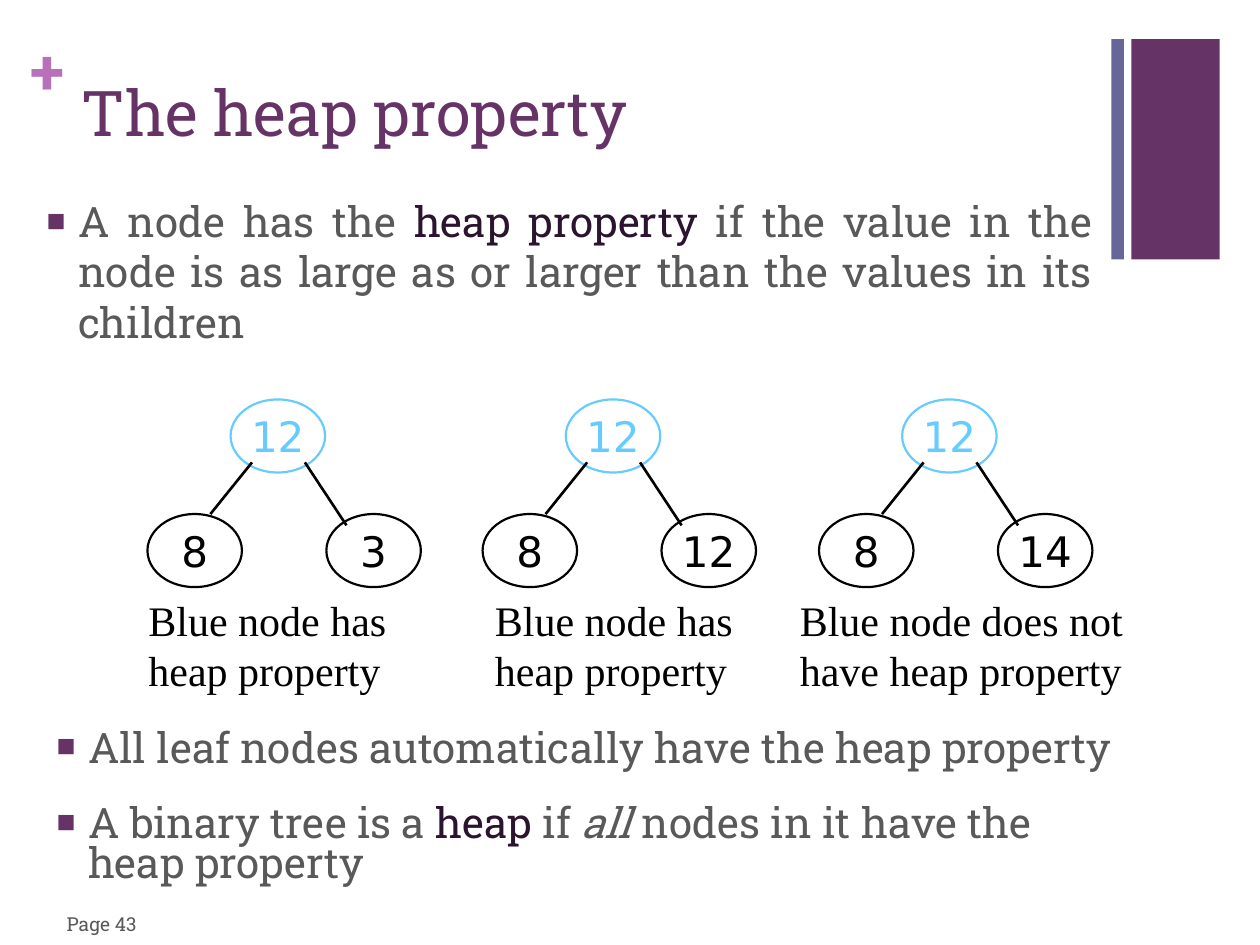
"""Build the slide that explains the heap property."""
import dataclasses

import lxml.etree
import pptx
import pptx.dml.color
import pptx.enum.shapes
import pptx.enum.text
import pptx.oxml.ns
import pptx.util

Inches = pptx.util.Inches
Align = pptx.enum.text.PP_ALIGN
Anchor = pptx.enum.text.MSO_ANCHOR
Shape = pptx.enum.shapes.MSO_SHAPE


@dataclasses.dataclass(frozen=True)
class Theme:
    """Colours, fonts and type sizes of the slide."""
    purple: str = "663366"
    slate: str = "666699"
    orchid: str = "B870B8"
    grey: str = "595959"
    dark: str = "2B142D"
    blue: str = "66CCFF"
    black: str = "000000"
    main_font: str = "Roboto Slab"
    node_font: str = "DejaVu Sans"
    caption_font: str = "Times New Roman"
    title_size: int = 36
    body_size: int = 24
    page_size: int = 11


THEME = Theme()
NODE_SIZE = (0.75, 0.58)
TREES = [
    (1.17, ("12", "8", "3"), "Blue node has heap property", (1.08, 2.17)),
    (3.83, ("12", "8", "12"), "Blue node has heap property", (3.83, 2.17)),
    (6.5, ("12", "8", "14"), "Blue node does not have heap property", (6.25, 2.83)),
]
DEFINITION = [("A node has the ", {}), ("heap property", {"color": THEME.dark}),
              (" if the value in the node is as large as or larger than "
               "the values in its children", {})]
LEAVES = [("All leaf nodes automatically have the heap property", {})]
HEAP = [("A binary tree is a ", {}), ("heap", {"color": THEME.dark}), (" if ", {}),
        ("all", {"italic": True}), (" nodes in it have the heap property", {})]


def rgb(color):
    """Return a colour object for a hexadecimal string."""
    return pptx.dml.color.RGBColor.from_string(color)


def write(paragraph, text, *, font=THEME.main_font, size=THEME.body_size,
          color=THEME.grey, bold=False, italic=False, align=None):
    """Append a formatted run of text to a paragraph."""
    run = paragraph.add_run()
    run.text = text
    run.font.name = font
    run.font.size = pptx.util.Pt(size)
    run.font.color.rgb = rgb(color)
    run.font.bold = bold
    run.font.italic = italic
    if align is not None:
        paragraph.alignment = align


def place(shape, left, top, width, height):
    """Move and size a shape in inches."""
    shape.left, shape.top = Inches(left), Inches(top)
    shape.width, shape.height = Inches(width), Inches(height)


def add_bullet_style(paragraph):
    """Give a paragraph a small purple square and a hanging indent."""
    properties = paragraph._p.get_or_add_pPr()
    properties.set("marL", str(Inches(0.25)))
    properties.set("indent", str(Inches(-0.25)))
    qualify = pptx.oxml.ns.qn
    color = lxml.etree.SubElement(properties, qualify("a:buClr"))
    lxml.etree.SubElement(color, qualify("a:srgbClr"), val=THEME.purple)
    lxml.etree.SubElement(properties, qualify("a:buSzPct"), val="75000")
    lxml.etree.SubElement(properties, qualify("a:buChar"), char="■")


def fill_body(placeholder, box, items, align=Align.LEFT, line_spacing=1.0, space_before=0):
    """Fill a body placeholder with bulleted paragraphs."""
    place(placeholder, *box)
    frame = placeholder.text_frame
    frame.auto_size = pptx.enum.text.MSO_AUTO_SIZE.NONE
    frame.vertical_anchor = Anchor.TOP
    for index, runs in enumerate(items):
        paragraph = frame.add_paragraph() if index else frame.paragraphs[0]
        paragraph.line_spacing = line_spacing
        paragraph.space_before = pptx.util.Pt(space_before)
        add_bullet_style(paragraph)
        for text, style in runs:
            write(paragraph, text, align=align, **style)


def fill_title(placeholder, text):
    """Place and fill the title placeholder."""
    place(placeholder, 0.55, 0.53, 8.26, 1.22)
    frame = placeholder.text_frame
    frame.auto_size = pptx.enum.text.MSO_AUTO_SIZE.NONE
    frame.vertical_anchor = Anchor.TOP
    write(frame.paragraphs[0], text, size=THEME.title_size,
          color=THEME.purple, align=Align.LEFT)


def add_label(shapes, box, text, wrap=True, anchor=Anchor.TOP, inset=None, **style):
    """Add a text box with one paragraph."""
    frame = shapes.add_textbox(*map(Inches, box)).text_frame
    frame.word_wrap = wrap
    frame.vertical_anchor = anchor
    if inset is not None:
        frame.margin_left = frame.margin_right = Inches(inset)
        frame.margin_top = frame.margin_bottom = Inches(inset)
    write(frame.paragraphs[0], text, **style)


def add_bar(shapes, box, color):
    """Add a plain decorative rectangle."""
    bar = shapes.add_shape(Shape.RECTANGLE, *map(Inches, box))
    bar.shadow.inherit = False
    bar.fill.solid()
    bar.fill.fore_color.rgb = rgb(color)
    bar.line.fill.background()


def add_node(shapes, left, top, value, color):
    """Add an outlined tree node with its value."""
    node = shapes.add_shape(Shape.OVAL, *map(Inches, (left, top, *NODE_SIZE)))
    node.shadow.inherit = False
    node.fill.background()
    node.line.color.rgb = rgb(color)
    node.line.width = pptx.util.Pt(1.25)
    frame = node.text_frame
    frame.word_wrap = False
    frame.vertical_anchor = Anchor.MIDDLE
    write(frame.paragraphs[0], value, font=THEME.node_font, color=color, align=Align.CENTER)


def add_edge(shapes, start, end):
    """Add a straight edge between two points."""
    edge = shapes.add_connector(pptx.enum.shapes.MSO_CONNECTOR.STRAIGHT,
                                *map(Inches, (*start, *end)))
    edge.line.color.rgb = rgb(THEME.black)
    edge.line.width = pptx.util.Pt(1.5)
    lxml.etree.SubElement(edge._element.spPr, pptx.oxml.ns.qn("a:effectLst"))


def add_tree(slide, left, values, caption, caption_span):
    """Add a grouped three-node tree with its caption."""
    shapes = slide.shapes.add_group_shape().shapes
    root, left_child, right_child = values
    add_node(shapes, left + 0.66, 3.17, root, THEME.blue)
    add_node(shapes, left, 4.08, left_child, THEME.black)
    add_node(shapes, left + 1.42, 4.08, right_child, THEME.black)
    add_edge(shapes, (left + 0.83, 3.67), (left + 0.5, 4.08))
    add_edge(shapes, (left + 1.25, 3.67), (left + 1.58, 4.17))
    caption_left, caption_width = caption_span
    add_label(shapes, (caption_left, 4.67, caption_width, 0.9), caption,
              font=THEME.caption_font, color=THEME.black)


def main():
    """Build and save the presentation."""
    presentation = pptx.Presentation()
    presentation.slide_width, presentation.slide_height = Inches(10), Inches(7.5)
    slide = presentation.slides.add_slide(presentation.slide_layouts.get_by_name("Two Content"))
    title, definition, conclusions = slide.placeholders
    add_bar(slide.shapes, (8.98, 0.31, 0.7, 1.75), THEME.purple)
    add_bar(slide.shapes, (8.82, 0.31, 0.1, 1.75), THEME.slate)
    add_label(slide.shapes, (0.24, 0.25, 0.29, 0.61), "+", inset=0,
              size=THEME.title_size, color=THEME.orchid, bold=True)
    fill_title(title, "The heap property")
    fill_body(definition, (0.27, 1.5, 8.5, 1.23), [DEFINITION], align=Align.JUSTIFY)
    fill_body(conclusions, (0.35, 5.75, 8.75, 1.38), [LEAVES, HEAP],
              line_spacing=0.8, space_before=20)
    for tree in TREES:
        add_tree(slide, *tree)
    add_label(slide.shapes, (0.43, 7.13, 0.76, 0.4), "Page 43", wrap=False,
              anchor=Anchor.MIDDLE, size=THEME.page_size)
    presentation.save("out.pptx")


if __name__ == "__main__":
    main()
